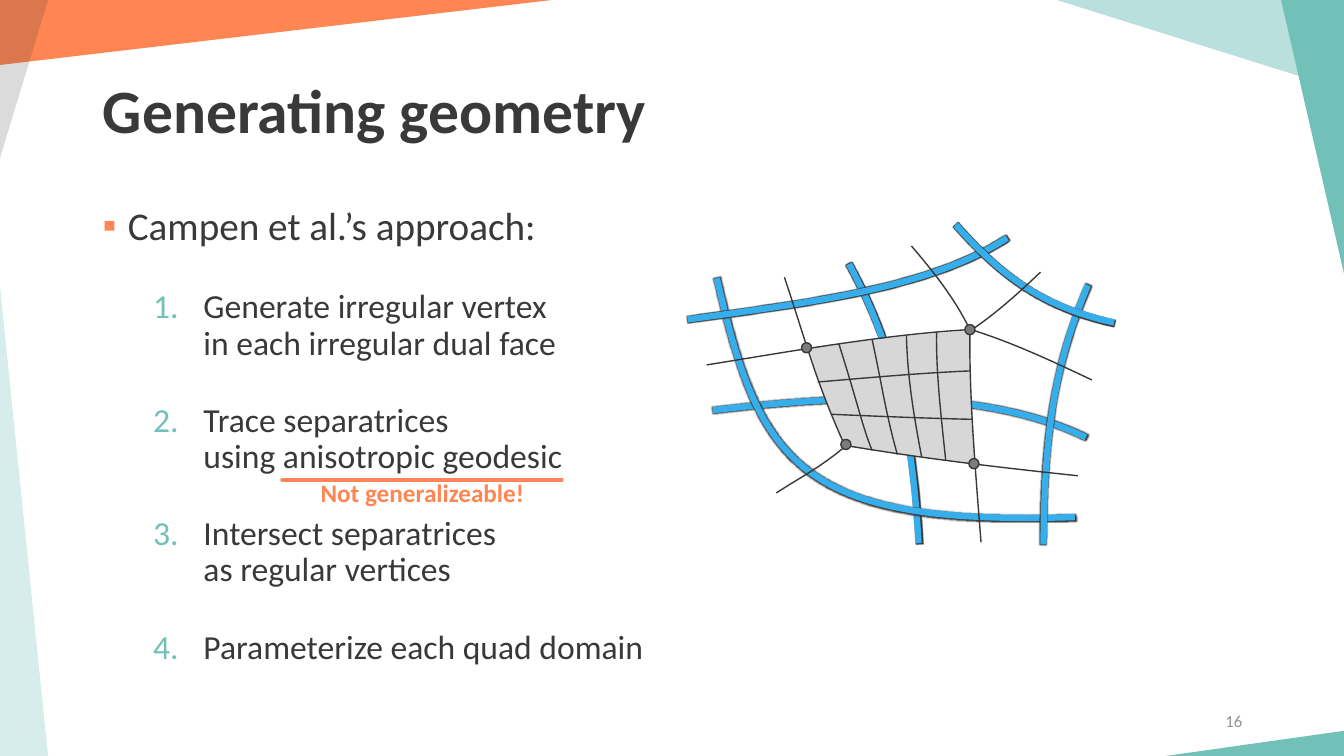
"""Build the slide on generating quad geometry from dual loops."""
from dataclasses import dataclass
from typing import NamedTuple

from lxml import etree
from pptx import Presentation, util as u
from pptx.dml.color import RGBColor
from pptx.enum import shapes, text
from pptx.oxml.ns import qn


@dataclass(frozen=True)
class Theme:
    font: str = "Calibri"
    bullet_font: str = "Arial"
    ink: str = "39393A"
    orange: str = "FF8552"
    teal: str = "72C1B8"
    blue: str = "35AEEB"
    domain: str = "D7D7D8"
    vertex: str = "7C7C7C"
    muted: str = "919191"
    title: int = 44
    lead: int = 28
    step: int = 24
    note: int = 18
    number: int = 12


class Corner(NamedTuple):
    left: float
    top: float
    width: float
    height: float
    rotation: int
    apex: int
    color: str
    opacity: int = 100


class Point(NamedTuple):
    x: float
    y: float


THEME = Theme()
SAMPLES = 24
VERTEX_SIZE = 0.1

CORNERS = [
    Corner(-2.16, 4.89, 4.79, 0.49, 90, 1, THEME.teal, 28),
    Corner(12.32, 6.49, 0.25, 1.77, 270, 0, THEME.teal),
    Corner(11.65, 1.05, 2.74, 0.63, 270, 1, THEME.teal),
    Corner(11.45, -0.99, 0.9, 2.87, 270, 1, THEME.teal, 49),
    Corner(2.43, -2.44, 0.65, 5.52, 90, 0, THEME.orange),
    Corner(-0.01, -0.01, 0.49, 1.61, 180, 1, THEME.ink, 18),
]

STEPS = [
    "Generate irregular vertex\vin each irregular dual face",
    "Trace separatrices\vusing anisotropic geodesic",
    "Intersect separatrices\vas regular vertices",
    "Parameterize each quad domain",
]


def run(*values: float) -> list[Point]:
    """Pair coordinates into the points of a line or a cubic curve."""
    return [Point(*pair) for pair in zip(values[::2], values[1::2])]


DUAL_LOOPS = [
    run(8.42, 2.62, 8.89, 3.48, 9.05, 4.33, 9.11, 5.39),
    run(7.07, 4.07, 8.42, 3.91, 9.79, 3.86, 10.77, 4.34),
    run(7.11, 2.76, 7.53, 4.6, 7.92, 5.22, 10.66, 5.13),
    run(10.79, 2.83, 10.44, 3.66, 10.36, 4.35, 10.35, 5.4),
    run(6.82, 3.17, 7.96, 3.01, 9.21, 2.87, 9.99, 2.36),
    run(9.48, 2.23, 9.94, 2.75, 10.36, 3.05, 11.05, 3.2),
]
QUAD_SIDES = [
    run(8.01, 3.45, 8.12, 3.81, 8.24, 4.1, 8.39, 4.43),
    run(8.39, 4.43, 9.68, 4.61),
    run(9.68, 4.61, 9.64, 4.15, 9.62, 3.74, 9.61, 3.28),
    run(9.61, 3.28, 9.07, 3.31, 8.54, 3.39, 8.01, 3.45),
]
GRID_LINES = [
    run(8.32, 3.41, 8.53, 4.08, 8.55, 4.22, 8.65, 4.47),
    run(8.65, 3.37, 8.75, 3.83, 8.78, 4.08, 8.9, 4.51),
    run(9.29, 3.29, 9.28, 3.69, 9.34, 4.18, 9.38, 4.57),
    run(8.99, 3.33, 9, 3.76, 9.07, 4.16, 9.14, 4.53),
    run(8.11, 3.79, 8.59, 3.75, 9.13, 3.7, 9.62, 3.68),
    run(8.24, 4.11, 8.71, 4.13, 9.18, 4.15, 9.64, 4.16),
]
SEPARATRICES = [
    run(7.01, 3.62, 7.82, 3.49, 8.76, 3.32, 9.61, 3.27),
    run(8.39, 4.42, 9.16, 4.55, 9.93, 4.64, 10.69, 4.72),
    run(9.64, 3.27, 9.89, 3.1, 10.1, 2.91, 10.32, 2.7),
    run(9.63, 3.27, 10.05, 3.4, 10.45, 3.59, 10.83, 3.77),
    run(7.78, 2.75, 8, 3.41, 8.09, 3.78, 8.37, 4.4),
    run(7.7, 4.89, 7.93, 4.74, 8.13, 4.64, 8.37, 4.44),
    run(9.62, 3.27, 9.61, 3.93, 9.68, 4.73, 9.73, 5.38),
    run(9.04, 2.44, 9.27, 2.71, 9.46, 2.95, 9.61, 3.25),
]
VERTICES = [Point(8.39, 4.41), Point(9.62, 3.27), Point(8, 3.45), Point(9.66, 4.6)]


def rgb(color: str) -> RGBColor:
    """Turn a hex string into a colour."""
    return RGBColor.from_string(color)


def set_font(paragraph, size: int, color: str, bold: bool = False) -> None:
    """Format a whole paragraph."""
    font = paragraph.font
    font.name, font.size, font.bold = THEME.font, u.Pt(size), bold
    font.color.rgb = rgb(color)


def set_bullet(paragraph, color: str, font: str, margin: float, hanging: float, tag: str, **attributes: str) -> None:
    """Give a paragraph a coloured bullet or number with a hanging indent."""
    properties = paragraph._p.get_or_add_pPr()
    properties.set("marL", str(u.Inches(margin)))
    properties.set("indent", str(u.Inches(-hanging)))
    bullet_color = etree.SubElement(properties, qn("a:buClr"))
    etree.SubElement(bullet_color, qn("a:srgbClr"), val=color)
    etree.SubElement(properties, qn("a:buFont"), typeface=font)
    etree.SubElement(properties, qn(tag), **attributes)


def add_text_box(slide, left: float, top: float, width: float, height: float):
    """Add a wrapping text box and return its frame."""
    box = slide.shapes.add_textbox(u.Inches(left), u.Inches(top), u.Inches(width), u.Inches(height))
    box.text_frame.word_wrap = True
    return box.text_frame


def draw_corner(slide, corner: Corner) -> None:
    """Draw one triangle of the slide border."""
    shape = slide.shapes.add_shape(
        shapes.MSO_SHAPE.ISOSCELES_TRIANGLE, *(u.Inches(length) for length in corner[:4]))
    shape.rotation = corner.rotation
    shape.adjustments[0] = corner.apex
    shape.shadow.inherit = False
    shape.line.fill.background()
    shape.fill.solid()
    shape.fill.fore_color.rgb = rgb(corner.color)
    if corner.opacity < 100:
        color = shape._element.spPr.find(".//" + qn("a:srgbClr"))
        etree.SubElement(color, qn("a:alpha"), val=str(corner.opacity * 1000))


def trace(segment: list[Point]) -> list[tuple[int, int]]:
    """Return points along a line or cubic curve, to measure its extent."""
    if len(segment) == 2:
        return [(u.Inches(x), u.Inches(y)) for x, y in segment]
    points = []
    for index in range(SAMPLES + 1):
        t = index / SAMPLES
        weights = ((1 - t) ** 3, 3 * t * (1 - t) ** 2, 3 * t * t * (1 - t), t ** 3)
        x, y = (sum(w * value for w, value in zip(weights, axis)) for axis in zip(*segment))
        points.append((u.Inches(x), u.Inches(y)))
    return points


def draw_outline(slide, segments: list[list[Point]], closed: bool = False):
    """Draw joined lines and cubic curves as one freeform."""
    points = [point for segment in segments for point in trace(segment)]
    builder = slide.shapes.build_freeform(*points[0])
    builder.add_line_segments(points[1:], close=closed)
    shape = builder.convert_to_shape()
    shape.shadow.inherit = False
    outline = shape._element.spPr.find(".//" + qn("a:path"))
    for step in list(outline):
        outline.remove(step)
    steps = [("a:moveTo", segments[0][:1])]
    steps += [("a:lnTo" if len(segment) == 2 else "a:cubicBezTo", segment[1:]) for segment in segments]
    for tag, targets in steps:
        step = etree.SubElement(outline, qn(tag))
        for x, y in targets:
            etree.SubElement(step, qn("a:pt"), x=str(u.Inches(x) - shape.left), y=str(u.Inches(y) - shape.top))
    if closed:
        etree.SubElement(outline, qn("a:close"))
    return shape


def draw_curve(slide, segment: list[Point], color: str, width: float, edge: bool = False) -> None:
    """Draw one stroked curve, with a thin dark glow if asked."""
    shape = draw_outline(slide, [segment])
    shape.fill.background()
    shape.line.color.rgb = rgb(color)
    shape.line.width = u.Pt(width)
    if edge:
        effects = shape._element.spPr.find(qn("a:effectLst"))
        glow = etree.SubElement(effects, qn("a:glow"), rad=str(u.Pt(1)))
        etree.SubElement(glow, qn("a:srgbClr"), val=THEME.ink)


def draw_vertex(slide, center: Point) -> None:
    """Draw one irregular vertex."""
    size = u.Inches(VERTEX_SIZE)
    shape = slide.shapes.add_shape(
        shapes.MSO_SHAPE.OVAL, u.Inches(center.x) - size // 2, u.Inches(center.y) - size // 2, size, size)
    shape.shadow.inherit = False
    shape.fill.solid()
    shape.fill.fore_color.rgb = rgb(THEME.vertex)
    shape.line.color.rgb = rgb(THEME.ink)
    shape.line.width = u.Pt(1)


def draw_mesh(slide) -> None:
    """Draw the dual loops with the quad domain on top."""
    for loop in DUAL_LOOPS:
        draw_curve(slide, loop, THEME.blue, 4.5, edge=True)
    quad = draw_outline(slide, QUAD_SIDES, closed=True)
    quad.fill.solid()
    quad.fill.fore_color.rgb = rgb(THEME.domain)
    quad.line.fill.background()
    for line in GRID_LINES + SEPARATRICES:
        draw_curve(slide, line, THEME.ink, 1)
    for vertex in VERTICES:
        draw_vertex(slide, vertex)


def write_title(slide) -> None:
    """Place and format the title."""
    title = slide.shapes.title
    title.left, title.top, title.width, title.height = map(u.Inches, (0.92, 0.4, 11.5, 1.45))
    title.text_frame.text = "Generating geometry"
    title.text_frame.vertical_anchor = text.MSO_ANCHOR.MIDDLE
    paragraph = title.text_frame.paragraphs[0]
    paragraph.alignment, paragraph.line_spacing = text.PP_ALIGN.LEFT, 0.9
    set_font(paragraph, THEME.title, THEME.ink, bold=True)


def write_steps(slide) -> None:
    """Write the lead line and the numbered steps."""
    frame = add_text_box(slide, 0.92, 2, 11.5, 4.76)
    lead = frame.paragraphs[0]
    lead.text, lead.line_spacing = "Campen et al.’s approach:", 0.9
    set_bullet(lead, THEME.orange, THEME.bullet_font, 0.25, 0.25, "a:buChar", char="▪")
    set_font(lead, THEME.lead, THEME.ink)
    for step in STEPS:
        paragraph = frame.add_paragraph()
        paragraph.text, paragraph.level = step, 1
        paragraph.line_spacing, paragraph.space_before = 0.9, u.Pt(29.2)
        set_bullet(paragraph, THEME.teal, THEME.font, 1, 0.5, "a:buAutoNum", type="arabicPeriod")
        set_font(paragraph, THEME.step, THEME.ink)


def write_remark(slide) -> None:
    """Underline the geodesic and add the remark below it."""
    underline = slide.shapes.add_connector(
        shapes.MSO_CONNECTOR.STRAIGHT, *map(u.Inches, (2.8, 4.76, 5.57, 4.76)))
    underline.line.color.rgb = rgb(THEME.orange)
    underline.line.width = u.Pt(3)
    properties = underline._element.spPr
    properties.find(qn("a:ln")).set("cap", "rnd")
    etree.SubElement(properties, qn("a:effectLst"))
    frame = add_text_box(slide, 3.06, 4.69, 2.26, 0.4)
    frame.word_wrap = False
    remark = frame.paragraphs[0]
    remark.text, remark.alignment = "Not generalizeable!", text.PP_ALIGN.CENTER
    set_font(remark, THEME.note, THEME.orange, bold=True)


def write_number(slide) -> None:
    """Write the slide number."""
    frame = add_text_box(slide, 9.42, 6.95, 3, 0.4)
    frame.vertical_anchor = text.MSO_ANCHOR.MIDDLE
    number = frame.paragraphs[0]
    number.text, number.alignment = "16", text.PP_ALIGN.RIGHT
    set_font(number, THEME.number, THEME.muted)


def main() -> None:
    """Build and save the presentation."""
    presentation = Presentation()
    presentation.slide_width, presentation.slide_height = u.Inches(13.33), u.Inches(7.5)
    slide = presentation.slides.add_slide(presentation.slide_layouts[5])
    for corner in CORNERS:
        draw_corner(slide, corner)
    for write in (write_title, write_steps, write_number, write_remark, draw_mesh):
        write(slide)
    presentation.save("out.pptx")


if __name__ == "__main__":
    main()
